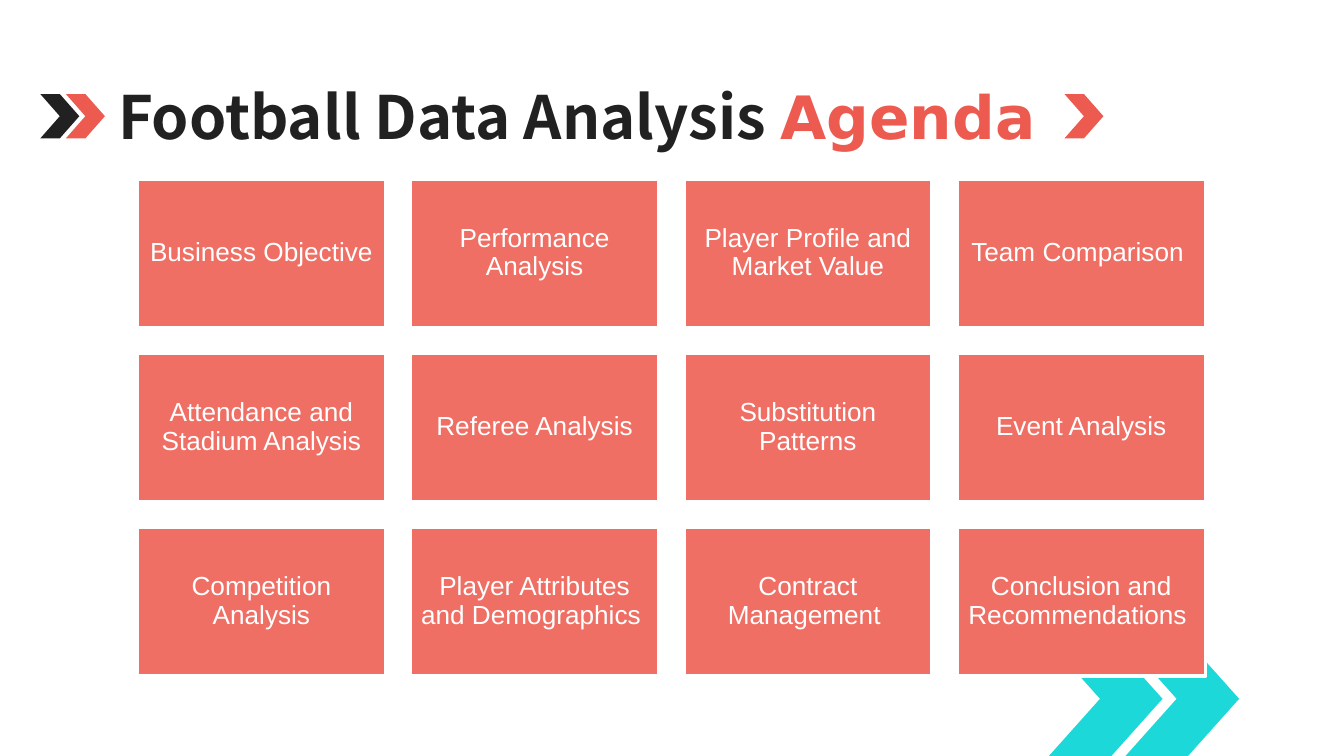
from dataclasses import dataclass

from pptx import Presentation
from pptx.dml.color import RGBColor
from pptx.enum.shapes import MSO_SHAPE
from pptx.enum.text import MSO_ANCHOR, PP_ALIGN
from pptx.shapes.autoshape import Shape
from pptx.slide import Slide
from pptx.util import Inches, Pt

DARK, CORAL, CARD, TEAL, WHITE = "212121", "ED5B50", "F06F65", "1CD8D8", "FFFFFF"

COLUMNS = 4
CARD_LEFT, CARD_TOP = 1.02, 1.33
CARD_WIDTH, CARD_HEIGHT = 1.85, 1.11
COLUMN_STEP, ROW_STEP = 6.1 / 3, 2.59 / 2

TOPICS = [
    "Business Objective",
    "Performance Analysis",
    "Player Profile and Market Value",
    "Team Comparison ",
    "Attendance and Stadium Analysis",
    "Referee Analysis",
    "Substitution Patterns",
    "Event Analysis",
    "Competition Analysis",
    "Player Attributes and Demographics ",
    "Contract Management ",
    "Conclusion and Recommendations ",
]


@dataclass(frozen=True)
class Chevron:
    """Place, size and colour of one chevron."""

    left: float
    top: float
    width: float
    height: float
    fill: str


CHEVRONS = [
    Chevron(7.72, 4.68, 0.93, 1.04, TEAL),
    Chevron(8.29, 4.68, 0.93, 1.04, TEAL),
    Chevron(0.3, 0.7, 0.29, 0.33, DARK),
    Chevron(0.49, 0.7, 0.29, 0.33, CORAL),
    Chevron(7.92, 0.7, 0.29, 0.33, CORAL),
]


def color(value: str) -> RGBColor:
    """Turn a hex string into a colour."""
    return RGBColor.from_string(value)


def add_text(box: Shape, text: str, *, font: str, size: float, fill: str,
             bold: bool = False, align: PP_ALIGN = PP_ALIGN.LEFT,
             spacing: float = 1.0, inset: float = 0.1) -> None:
    """Append a formatted span to the first paragraph of a box."""
    frame = box.text_frame
    frame.word_wrap = True
    frame.vertical_anchor = MSO_ANCHOR.MIDDLE
    frame.margin_left = frame.margin_right = Inches(inset)
    frame.margin_top = frame.margin_bottom = Inches(inset)
    para = frame.paragraphs[0]
    para.alignment = align
    para.line_spacing = spacing
    span = para.add_run()
    span.text = text
    span.font.name = font
    span.font.size = Pt(size)
    span.font.bold = bold
    span.font.color.rgb = color(fill)


def add_filled(page: Slide, kind: MSO_SHAPE, left: float, top: float,
               width: float, height: float, fill: str) -> Shape:
    """Add a flat, borderless preset shape."""
    shape = page.shapes.add_shape(
        kind, Inches(left), Inches(top), Inches(width), Inches(height))
    shape.shadow.inherit = False
    shape.fill.solid()
    shape.fill.fore_color.rgb = color(fill)
    shape.line.fill.background()
    return shape


def add_chevron(page: Slide, chevron: Chevron) -> None:
    """Draw one chevron."""
    add_filled(page, MSO_SHAPE.CHEVRON, chevron.left, chevron.top,
               chevron.width, chevron.height, chevron.fill)


def add_card(page: Slide, index: int, topic: str) -> None:
    """Draw one agenda topic in its grid cell."""
    row, column = divmod(index, COLUMNS)
    card = add_filled(page, MSO_SHAPE.RECTANGLE,
                      CARD_LEFT + column * COLUMN_STEP,
                      CARD_TOP + row * ROW_STEP,
                      CARD_WIDTH, CARD_HEIGHT, CARD)
    card.line.color.rgb = color(WHITE)
    card.line.width = Pt(2)
    add_text(card, topic, font="Arial", size=14, fill=WHITE,
             align=PP_ALIGN.CENTER, spacing=0.9, inset=0.06)


def add_title(page: Slide) -> None:
    """Write the two-colour title."""
    title = page.shapes.add_textbox(
        Inches(0.78), Inches(0.6), Inches(7.28), Inches(0.52))
    add_text(title, "Football Data Analysis ", font="Noto Sans CJK SC",
             size=32, fill=DARK, bold=True)
    add_text(title, "Agenda", font="DejaVu Sans", size=32, fill=CORAL, bold=True)


def main() -> None:
    """Build and save the agenda slide."""
    deck = Presentation()
    deck.slide_width = Inches(10)
    deck.slide_height = Inches(10 * 9 / 16)
    page = deck.slides.add_slide(deck.slide_layouts[6])
    for chevron in CHEVRONS:
        add_chevron(page, chevron)
    add_title(page)
    for index, topic in enumerate(TOPICS):
        add_card(page, index, topic)
    deck.save("out.pptx")


if __name__ == "__main__":
    main()
